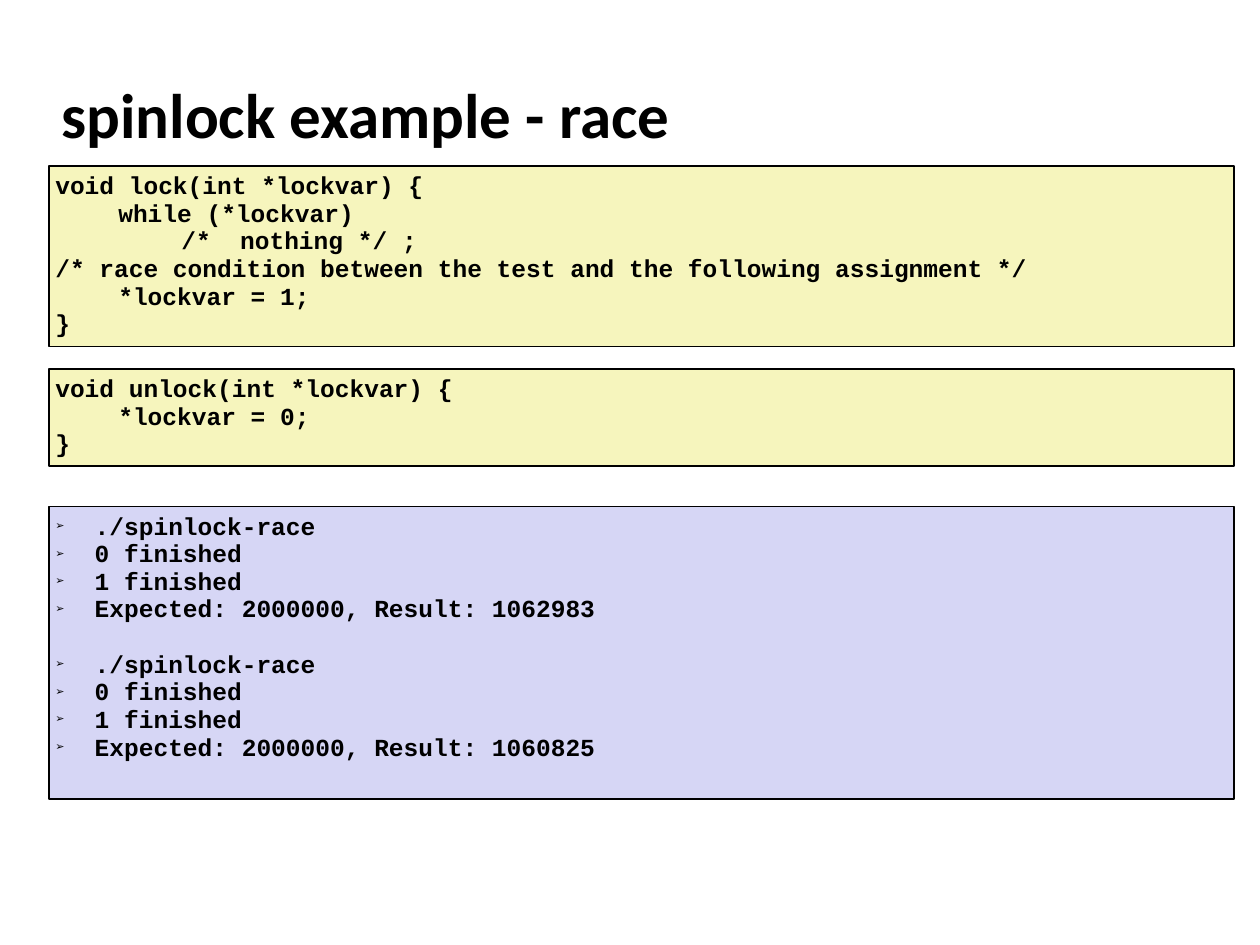
from lxml.etree import SubElement
from pptx import Presentation
from pptx.dml.color import RGBColor
from pptx.enum.shapes import MSO_SHAPE
from pptx.enum.text import MSO_ANCHOR, MSO_AUTO_SIZE, PP_ALIGN
from pptx.oxml.ns import qn
from pptx.util import Pt

LEFT, WIDTH = 28, 677
LINE = 15.8
LOCK = [
    "void lock(int *lockvar) {",
    "\twhile (*lockvar)",
    "\t\t/*  nothing */ ;",
    "/* race condition between the test and the following assignment */",
    "\t*lockvar = 1;",
    "}",
]
UNLOCK = ["void unlock(int *lockvar) {", "\t*lockvar = 0;", "}"]
SUMS = [1062983, 1060825]


def paint(fmt, hue):
    """Give a fill or font a solid colour."""
    if hasattr(fmt, "solid"):
        fmt.solid()
        fmt.fore_color.rgb = RGBColor.from_string(hue)
    else:
        fmt.color.rgb = RGBColor.from_string(hue)


def place(shape, top, height, width=WIDTH):
    """Move and size a shape on the left margin."""
    shape.left, shape.top = Pt(LEFT), Pt(top)
    shape.width, shape.height = Pt(width), Pt(height)


def write(para, text, font="Courier New", size=14, hue="000000",
          pitch=0.94, gap=0, hang=0):
    """Write one bold, left-aligned paragraph with its format."""
    para.alignment = PP_ALIGN.LEFT
    para.line_spacing = pitch
    para.space_before, para.space_after = Pt(gap), Pt(0)
    props = para._p.get_or_add_pPr()
    props.set("marL", str(Pt(hang)))
    props.set("indent", str(Pt(-hang)))
    run = para.add_run()
    run.text = text
    run.font.name, run.font.size, run.font.bold = font, Pt(size), True
    paint(run.font, hue)


def mark(para):
    """Give a paragraph a small black arrow bullet."""
    props = para._p.get_or_add_pPr()
    hue = SubElement(props, qn("a:buClr"))
    SubElement(hue, qn("a:srgbClr"), val="000000")
    SubElement(props, qn("a:buSzPct"), val="45000")
    SubElement(props, qn("a:buChar"), char="➢")


def stops(para, step=72, count=2):
    """Set evenly spaced left tab stops."""
    tabs = SubElement(para._p.get_or_add_pPr(), qn("a:tabLst"))
    for turn in range(1, count + 1):
        SubElement(tabs, qn("a:tab"), pos=str(Pt(step * turn)), algn="l")


def panel(shape, fill):
    """Style a shape as an outlined panel and return its text frame."""
    paint(shape.fill, fill)
    paint(shape.line.fill, "000000")
    shape.line.width = Pt(1)
    frame = shape.text_frame
    frame.word_wrap = True
    frame.auto_size = MSO_AUTO_SIZE.NONE
    frame.vertical_anchor = MSO_ANCHOR.TOP
    frame.margin_left = frame.margin_right = Pt(3.6)
    frame.margin_top = frame.margin_bottom = Pt(3.6)
    return frame


def lines(frame, count):
    """Return the given number of paragraphs in an empty frame."""
    return [frame.paragraphs[0]] + [frame.add_paragraph() for _ in range(count - 1)]


def code(slide, rows, top, height):
    """Add a yellow panel of source code."""
    box = slide.shapes.add_shape(MSO_SHAPE.RECTANGLE, 0, 0, 0, 0)
    box.shadow.inherit = False
    place(box, top, height)
    frame = panel(box, "F6F5BD")
    for para, row in zip(lines(frame, len(rows)), rows):
        write(para, row)
        stops(para)


def output(body, top, height):
    """Fill the body with the bulleted output of each run."""
    place(body, top, height)
    frame = panel(body, "D6D6F5")
    rows = []
    for turn, total in enumerate(SUMS):
        rows += [
            ("./spinlock-race", LINE * turn),
            ("0 finished", 0),
            ("1 finished", 0),
            (f"Expected: 2000000, Result: {total}", 0),
        ]
    for para, (row, gap) in zip(lines(frame, len(rows)), rows):
        write(para, row, gap=gap, hang=22.5)
        mark(para)


def head(title, text):
    """Place and write the slide title."""
    place(title, 35, 59.5, 598)
    frame = title.text_frame
    frame.auto_size = MSO_AUTO_SIZE.NONE
    frame.vertical_anchor = MSO_ANCHOR.MIDDLE
    write(frame.paragraphs[0], text, font="Calibri", size=36, pitch=1.0, hang=9)


def main():
    """Build and save the slide."""
    deck = Presentation()
    deck.slide_width, deck.slide_height = Pt(720), Pt(540)
    slide = deck.slides.add_slide(deck.slide_layouts[1])
    head(slide.shapes.title, "spinlock example - race")
    code(slide, LOCK, 95, 103)
    code(slide, UNLOCK, 211, 55.5)
    output(slide.placeholders[1], 289.5, 167)
    deck.save("out.pptx")


if __name__ == "__main__":
    main()
